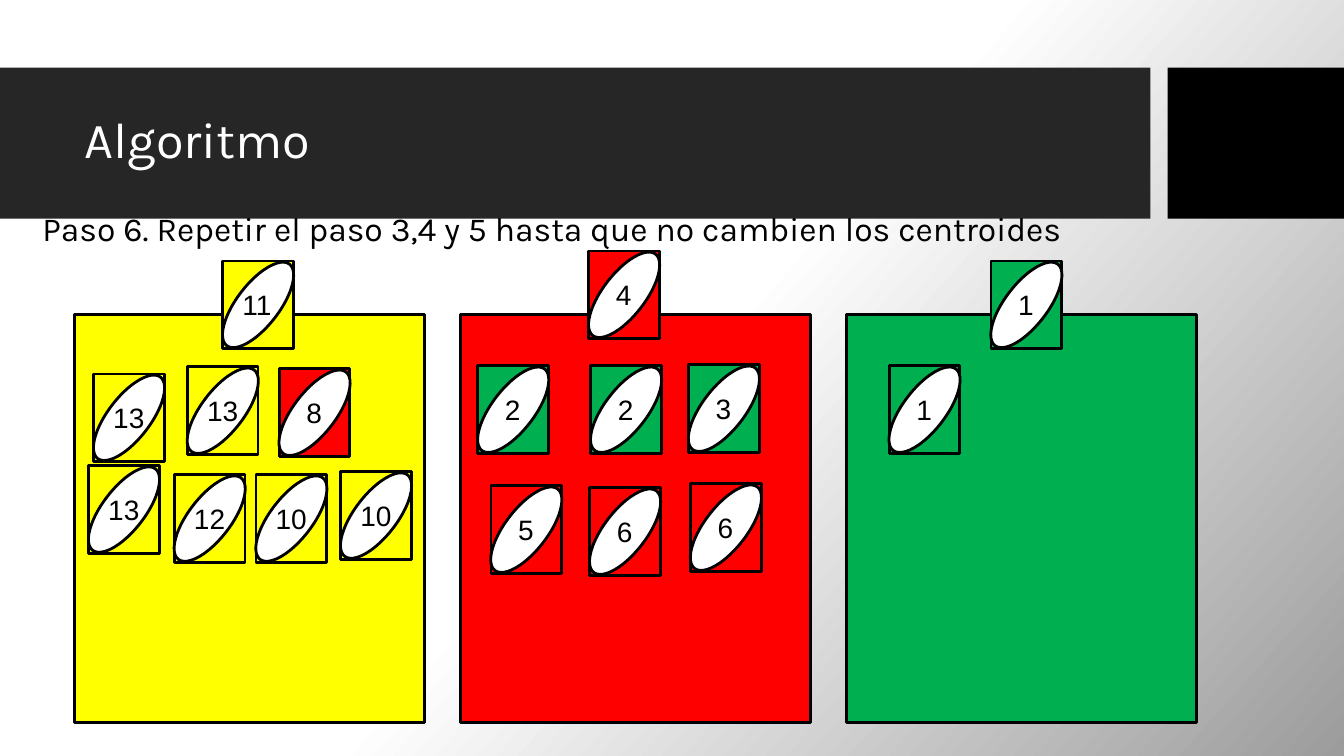
from copy import deepcopy
from typing import NamedTuple

from pptx import Presentation
from pptx.dml.color import RGBColor
from pptx.enum.shapes import MSO_SHAPE
from pptx.enum.text import MSO_ANCHOR, MSO_AUTO_SIZE
from pptx.oxml.ns import qn
from pptx.util import Inches, Pt

COLORS = {
    "white": "FFFFFF", "gray": "9C9C9C", "banner": "262626", "black": "000000",
    "yellow": "FFFF00", "red": "FF0000", "green": "00B050",
}
CARD_WIDTH, CARD_HEIGHT = 0.7, 0.87
OVAL_WIDTH, OVAL_HEIGHT, OVAL_ROTATION = 1.02, 0.42, 307.6
LABEL_HEIGHT = 0.44
LABEL_WIDTHS = {1: 0.36, 2: 0.51}
CLUSTER_LEFT, CLUSTER_STEP = 0.74, 3.83


class Box(NamedTuple):
    left: float
    top: float
    width: float
    height: float


class Card(NamedTuple):
    number: int
    color: str
    left: float
    top: float


class Heading(NamedTuple):
    text: str
    box: Box
    size: int
    color: str
    anchor: MSO_ANCHOR
    left_margin: float
    line_spacing: float


CLUSTERS = ["yellow", "red", "green"]
BANNERS = {"banner": Box(0, 0.67, 11.41, 1.5), "black": Box(11.58, 0.67, 1.75, 1.5)}
HEADINGS = [
    Heading("Algoritmo", Box(0.74, 0.82, 10.51, 1.18), 36, "white",
            MSO_ANCHOR.MIDDLE, 0.1, 0.9),
    Heading("Paso 6. Repetir el paso 3,4 y 5 hasta que no cambien los centroides",
            Box(0.24, 2.01, 12.26, 0.91), 24, "black", MSO_ANCHOR.TOP, 0.18, 1.0),
]
CARDS = [
    Card(10, "yellow", 2.54, 4.71),
    Card(11, "yellow", 2.21, 2.59),
    Card(8, "red", 2.77, 3.66),
    Card(13, "yellow", 1.86, 3.64),
    Card(10, "yellow", 3.38, 4.68),
    Card(13, "yellow", 0.88, 4.62),
    Card(13, "yellow", 0.93, 3.71),
    Card(12, "yellow", 1.73, 4.71),
    Card(3, "green", 6.83, 3.62),
    Card(2, "green", 4.74, 3.63),
    Card(6, "red", 5.85, 4.84),
    Card(2, "green", 5.86, 3.63),
    Card(6, "red", 6.85, 4.8),
    Card(4, "red", 5.84, 2.49),
    Card(5, "red", 4.87, 4.82),
    Card(1, "green", 8.82, 3.63),
    Card(1, "green", 9.83, 2.59),
]


def rgb(name: str) -> RGBColor:
    return RGBColor.from_string(COLORS[name])


def centered(card: Card, width: float, height: float) -> Box:
    return Box(card.left + (CARD_WIDTH - width) / 2,
               card.top + (CARD_HEIGHT - height) / 2, width, height)


def add_figure(shapes, kind: MSO_SHAPE, box: Box, color: str, outlined: bool = True):
    shape = shapes.add_shape(kind, *map(Inches, box))
    shape.shadow.inherit = False
    shape.fill.solid()
    shape.fill.fore_color.rgb = rgb(color)
    if outlined:
        shape.line.color.rgb = rgb("black")
        shape.line.width = Pt(2)
    else:
        shape.line.fill.background()
    return shape


def add_text(shapes, text: str, box: Box, font: str, size: int, color: str):
    textbox = shapes.add_textbox(*map(Inches, box))
    run = textbox.text_frame.paragraphs[0].add_run()
    run.text = text
    run.font.name = font
    run.font.size = Pt(size)
    run.font.color.rgb = rgb(color)
    return textbox.text_frame


def add_heading(shapes, heading: Heading) -> None:
    frame = add_text(shapes, heading.text, heading.box, "Karla", heading.size, heading.color)
    frame.word_wrap = True
    frame.vertical_anchor = heading.anchor
    frame.margin_left = Inches(heading.left_margin)
    frame.paragraphs[0].line_spacing = heading.line_spacing


def add_card(shapes, card: Card) -> None:
    group = shapes.add_group_shape().shapes
    add_figure(group, MSO_SHAPE.RECTANGLE,
               Box(card.left, card.top, CARD_WIDTH, CARD_HEIGHT), card.color)
    oval = add_figure(group, MSO_SHAPE.OVAL,
                      centered(card, OVAL_WIDTH, OVAL_HEIGHT), "white")
    oval.rotation = OVAL_ROTATION
    label = str(card.number)
    label_box = centered(card, LABEL_WIDTHS[len(label)], LABEL_HEIGHT)
    frame = add_text(group, label, label_box, "Arial", 20, "black")
    frame.word_wrap = False
    frame.auto_size = MSO_AUTO_SIZE.SHAPE_TO_FIT_TEXT


def set_background(slide) -> None:
    fill = slide.background.fill
    fill.gradient()
    fill.gradient_angle = 318
    first_stop = next(slide.element.iter(qn("a:gs")))
    first_stop.addnext(deepcopy(first_stop))
    stops = [(0, "white"), (0.5, "white"), (1, "gray")]
    for stop, (position, color) in zip(fill.gradient_stops, stops):
        stop.position = position
        stop.color.rgb = rgb(color)


def main() -> None:
    """Build the slide on clustering numbered cards around centroids."""
    presentation = Presentation()
    presentation.slide_width = Inches(13.33)
    presentation.slide_height = Inches(7.5)
    slide = presentation.slides.add_slide(presentation.slide_layouts[6])
    set_background(slide)
    for color, box in BANNERS.items():
        add_figure(slide.shapes, MSO_SHAPE.RECTANGLE, box, color, outlined=False)
    for heading in HEADINGS:
        add_heading(slide.shapes, heading)
    for index, color in enumerate(CLUSTERS):
        box = Box(CLUSTER_LEFT + index * CLUSTER_STEP, 3.12, 3.47, 4.05)
        add_figure(slide.shapes, MSO_SHAPE.RECTANGLE, box, color)
    for card in CARDS:
        add_card(slide.shapes, card)
    presentation.save("out.pptx")


if __name__ == "__main__":
    main()
